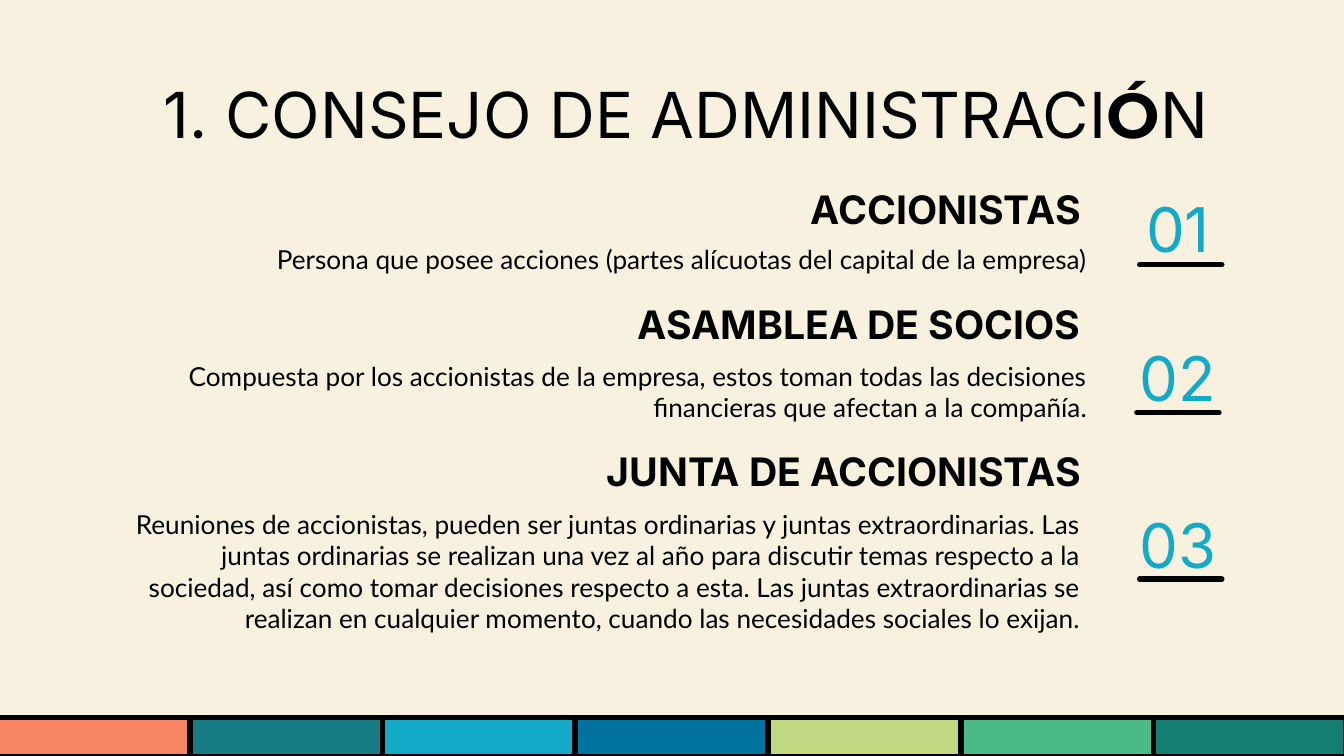
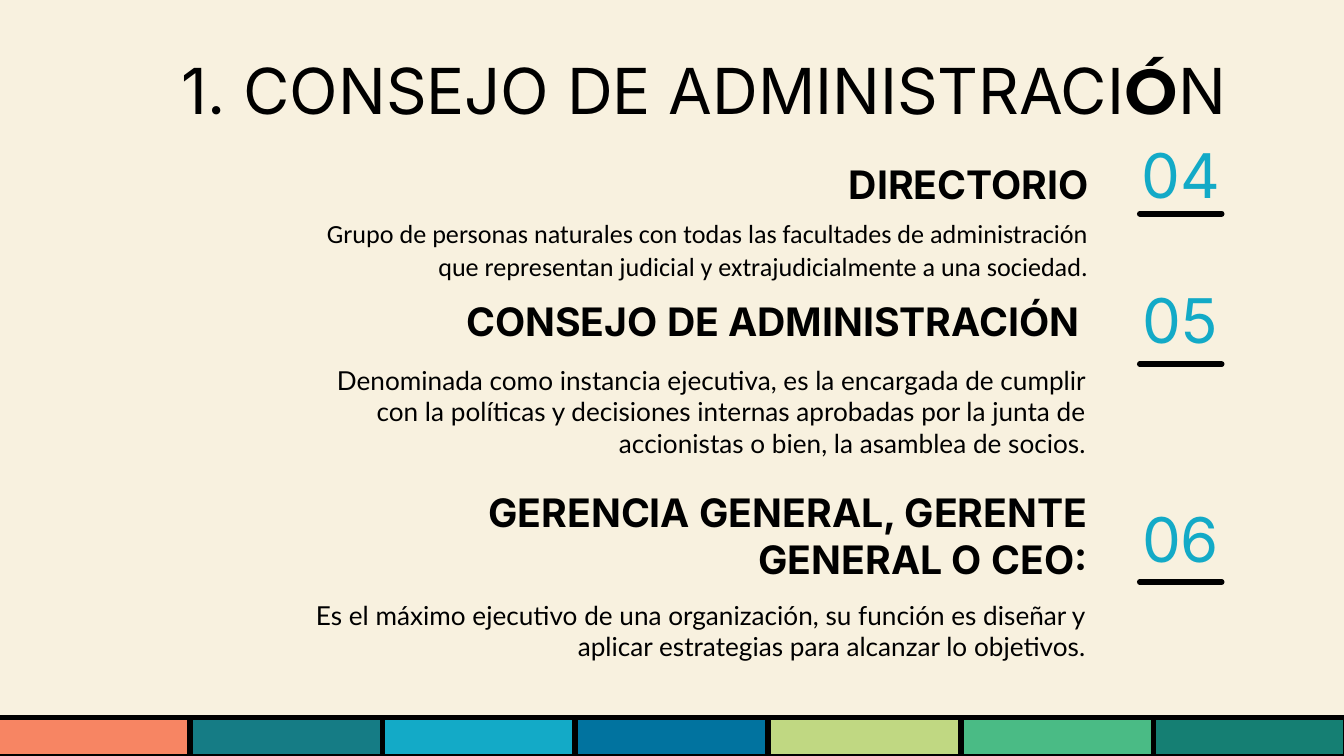
from dataclasses import dataclass

from lxml.etree import SubElement
from pptx import Presentation
from pptx.dml.color import RGBColor
from pptx.enum.shapes import MSO_CONNECTOR, MSO_SHAPE
from pptx.enum.text import MSO_ANCHOR, MSO_AUTO_SIZE, PP_ALIGN
from pptx.oxml.ns import qn
from pptx.util import Pt

CREAM, BLACK, CYAN = "F8F1DF", "000000", "13AAC7"
BAND_COLORS = ["F78563", "157C85", CYAN, "01739F", "C0D882", "4ABB85", "157F73"]
BAND_LEFT, BAND_TOP, BAND_PITCH, BAND_HEIGHT = -1.5, 384.5, 103.25, 21
RULE_LENGTH = 43.9


@dataclass
class Section:
    """A numbered term: boxes are left, top, width, height in points."""
    number: str
    number_top: float
    rule_left: float
    rule_top: float
    heading: str
    heading_box: tuple
    body: str
    body_box: tuple
    indented: bool = True
    body_font: str = "Lato"
    line_spacing: float = 1.0
    space_after: float = 0


SHAREHOLDERS = [
    Section("01", 105.8, 610.6, 141.8,
            "ACCIONISTAS", (261.4, 92.2, 324.7, 27.4),
            "Persona que posee acciones (partes alícuotas del capital de la empresa)",
            (122.4, 123.1, 467.3, 32.4), indented=False),
    Section("02", 185.8, 609.1, 221,
            "ASAMBLEA DE SOCIOS", (261.4, 153.4, 324.7, 27.4),
            "Compuesta por los accionistas de la empresa, estos toman todas las decisiones "
            "financieras que afectan a la compañía.",
            (64.1, 185.8, 525.6, 46.8)),
    Section("03", 275, 610.6, 310.3,
            "JUNTA DE ACCIONISTAS", (261.4, 232.6, 324.7, 27.4),
            "Reuniones de accionistas, pueden ser juntas ordinarias y juntas extraordinarias. "
            "Las juntas ordinarias se realizan una vez al año para discutir temas respecto a la "
            "sociedad, así como tomar decisiones respecto a esta. Las juntas extraordinarias se "
            "realizan en cualquier momento, cuando las necesidades sociales lo exijan.",
            (64.1, 265, 522, 102.2), indented=False),
]
MANAGEMENT = [
    Section("04", 77, 610.6, 114.5,
            "DIRECTORIO", (265.7, 78.5, 324.7, 27.4),
            "Grupo de personas naturales con todas las facultades de administración que "
            "representan judicial y extrajudicialmente a una sociedad.",
            (153.4, 108, 437, 38.2), body_font="Calibri", line_spacing=1.07, space_after=8),
    Section("05", 154.8, 610.6, 195.1,
            "CONSEJO DE ADMINISTRACIÓN ", (214.6, 151.9, 375.8, 27.4),
            "Denominada como instancia ejecutiva, es la encargada de cumplir con la políticas y "
            "decisiones internas aprobadas por la junta de accionistas o bien, la asamblea de "
            "socios.",
            (151.2, 187.9, 437.8, 65.5)),
    Section("06", 272.2, 610.6, 311.8,
            "GERENCIA GENERAL, GERENTE GENERAL O CEO:", (168.5, 254.2, 421.2, 56.9),
            "Es el máximo ejecutivo de una organización, su función es diseñar y aplicar "
            "estrategias para alcanzar lo objetivos.",
            (145.4, 313.9, 443.5, 32.4)),
]


def color(value):
    """Turn a hex string into a colour."""
    return RGBColor.from_string(value)


def format_font(font, name, size, ink=BLACK, bold=False):
    """Set the face, size, colour and weight of a font."""
    font.name, font.size, font.bold = name, Pt(size), bold
    font.color.rgb = color(ink)


def format_frame(frame, anchor=MSO_ANCHOR.TOP):
    """Give a text frame the shared margins, wrapping and anchor."""
    frame.word_wrap = True
    frame.auto_size = MSO_AUTO_SIZE.NONE
    frame.vertical_anchor = anchor
    frame.margin_left = frame.margin_right = Pt(7.2)
    frame.margin_top = frame.margin_bottom = Pt(7.2)


def add_text(slide, text, box, name, size, ink=BLACK, bold=False,
             alignment=PP_ALIGN.RIGHT, anchor=MSO_ANCHOR.TOP):
    """Add a text box of one paragraph and return the paragraph."""
    frame = slide.shapes.add_textbox(*map(Pt, box)).text_frame
    format_frame(frame, anchor)
    paragraph = frame.paragraphs[0]
    paragraph.text = text
    paragraph.alignment = alignment
    format_font(paragraph.font, name, size, ink, bold)
    return paragraph


def add_band(slide):
    """Draw the row of coloured blocks along the bottom edge."""
    for index, fill in enumerate(BAND_COLORS):
        block = slide.shapes.add_shape(
            MSO_SHAPE.RECTANGLE, Pt(BAND_LEFT + index * BAND_PITCH), Pt(BAND_TOP),
            Pt(BAND_PITCH), Pt(BAND_HEIGHT))
        block.shadow.inherit = False
        block.fill.solid()
        block.fill.fore_color.rgb = color(fill)
        block.line.color.rgb = color(BLACK)
        block.line.width = Pt(3)


def add_title(slide, top, ending):
    """Place the title, whose accented letter has its own face."""
    title = slide.shapes.title
    title.left, title.top, title.width, title.height = map(Pt, (56.2, top, 607.7, 45.4))
    format_frame(title.text_frame)
    paragraph = title.text_frame.paragraphs[0]
    paragraph.alignment = PP_ALIGN.RIGHT
    paragraph.line_spacing = 1.0
    paragraph.space_before = Pt(0)
    for text, name, bold in [("1. CONSEJO DE ADMINISTRACI", "Inter", False),
                             ("Ó", "Montserrat", True), (ending, "Inter", False)]:
        run = paragraph.add_run()
        run.text = text
        format_font(run.font, name, 34, bold=bold)


def add_rule(slide, left, top):
    """Draw the round-ended rule under a number."""
    rule = slide.shapes.add_connector(
        MSO_CONNECTOR.STRAIGHT, Pt(left), Pt(top), Pt(left + RULE_LENGTH), Pt(top))
    rule.line.color.rgb = color(BLACK)
    rule.line.width = Pt(3)
    properties = rule._element.spPr
    properties.find(qn("a:ln")).set("cap", "rnd")
    SubElement(properties, qn("a:effectLst"))


def add_section(slide, section, number_left):
    """Add the heading, explanation and underlined number of a section."""
    add_text(slide, section.heading, section.heading_box, "Inter", 21, bold=True)
    body = add_text(slide, section.body, section.body_box, section.body_font, 14)
    body.line_spacing = section.line_spacing
    body.space_after = Pt(section.space_after)
    if section.indented:
        properties = body._p.get_or_add_pPr()
        properties.set("marL", str(Pt(36)))
        properties.set("indent", str(Pt(-27)))
    add_text(slide, section.number, (number_left, section.number_top, 62.6, 32.4),
             "Inter", 33, CYAN, alignment=PP_ALIGN.CENTER, anchor=MSO_ANCHOR.MIDDLE)
    add_rule(slide, section.rule_left, section.rule_top)


def add_board_slide(presentation, title_top, title_ending, number_left, sections):
    """Build one slide of numbered sections."""
    slide = presentation.slides.add_slide(presentation.slide_layouts.get_by_name("Title Only"))
    slide.background.fill.solid()
    slide.background.fill.fore_color.rgb = color(CREAM)
    add_band(slide)
    add_title(slide, title_top, title_ending)
    for section in sections:
        add_section(slide, section, number_left)


def main():
    """Build and save the presentation."""
    presentation = Presentation()
    presentation.slide_width, presentation.slide_height = Pt(720), Pt(405)
    add_board_slide(presentation, 33.1, "N ", 599.8, SHAREHOLDERS)
    add_board_slide(presentation, 20.2, "N", 601.2, MANAGEMENT)
    presentation.save("out.pptx")


if __name__ == "__main__":
    main()
